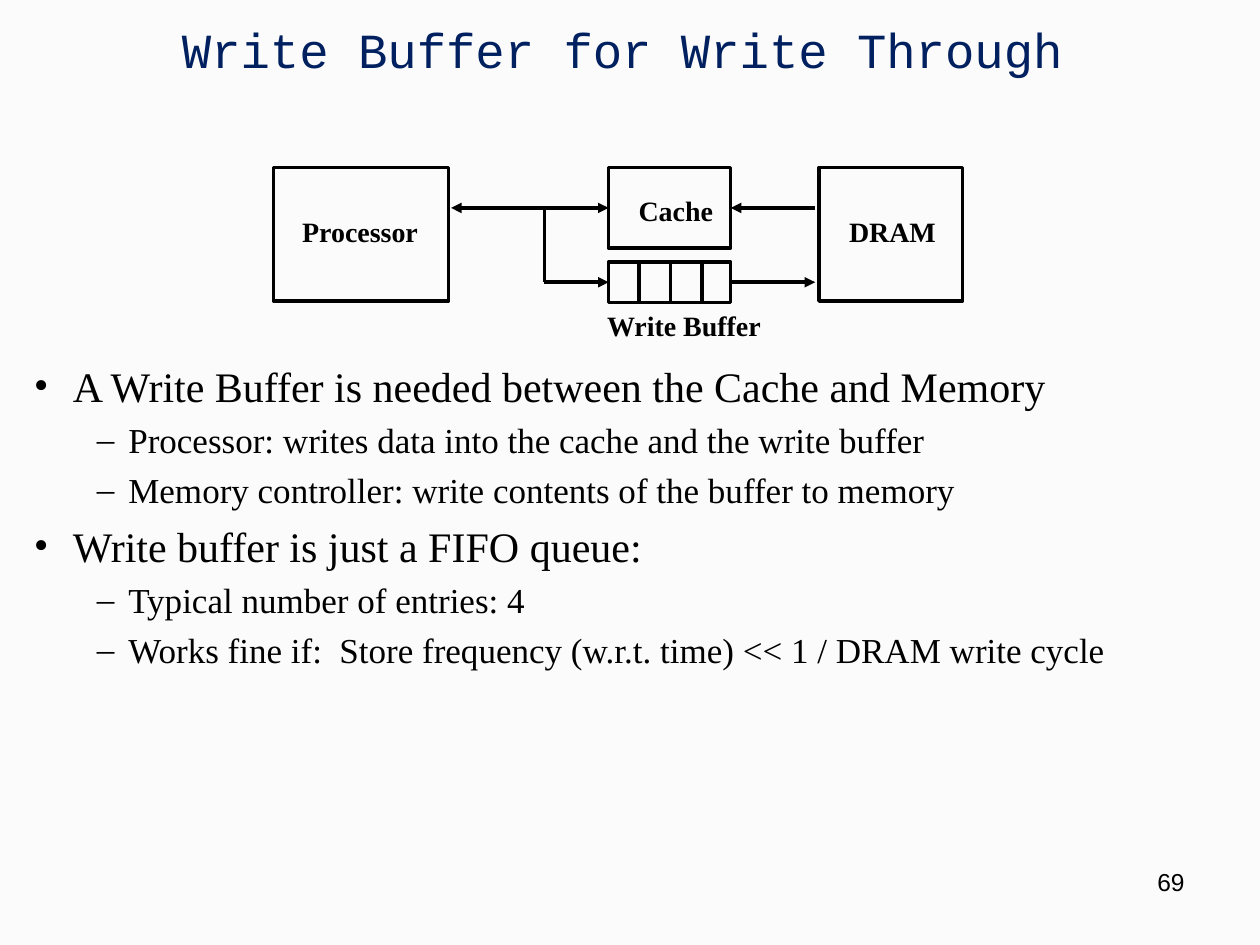
from lxml.etree import SubElement
from pptx import Presentation
from pptx.dml.color import RGBColor
from pptx.enum.shapes import MSO_CONNECTOR, MSO_SHAPE
from pptx.enum.text import MSO_ANCHOR as Anchor, PP_ALIGN as Align
from pptx.oxml.ns import qn
from pptx.util import Inches, Pt

BLACK = "000000"
SERIF = "Times New Roman"
LEFT_SIDE, RIGHT_SIDE = 1, 3
CACHE_Y, BUFFER_Y = 1.65, 2.24
BULLETS = [
    (0, "A Write Buffer is needed between the Cache and Memory"),
    (1, "Processor: writes data into the cache and the write buffer"),
    (1, "Memory controller: write contents of the buffer to memory"),
    (0, "Write buffer is just a FIFO queue:"),
    (1, "Typical number of entries: 4"),
    (1, "Works fine if:  Store frequency (w.r.t. time) << 1 / DRAM write cycle"),
]
LEVELS = [
    {"symbol": "•", "margin": 0.31, "hanging": 0.31, "size": 24, "before": 5.5},
    {"symbol": "–", "margin": 0.75, "hanging": 0.25, "size": 20, "before": 4.6},
]


def color(value):
    return RGBColor.from_string(value)


def set_attributes(target, values):
    for name, value in values.items():
        setattr(target, name, value)


def format_font(paragraph, size, name=SERIF, fill=BLACK, bold=False):
    set_attributes(paragraph.font, {"size": Pt(size), "name": name, "bold": bold})
    paragraph.font.color.rgb = color(fill)


def place(shape, *box):
    names = ("left", "top", "width", "height")
    set_attributes(shape, dict(zip(names, map(Inches, box))))


def add_title(slide, text):
    title = slide.shapes.title
    place(title, 0.91, 0.08, 8.06, 0.61)
    title.text_frame.vertical_anchor = Anchor.MIDDLE
    title.text_frame.text = text
    paragraph = title.text_frame.paragraphs[0]
    paragraph.alignment = Align.CENTER
    format_font(paragraph, 28, "Courier New", "002060")


def add_text(slide, text, box, size, wrap=False, align=Align.LEFT, **font):
    frame = slide.shapes.add_textbox(*map(Inches, box)).text_frame
    set_attributes(frame, {"word_wrap": wrap, "text": text})
    paragraph = frame.paragraphs[0]
    paragraph.alignment = align
    format_font(paragraph, size, **font)


def add_bullets(slide, box):
    frame = slide.shapes.add_textbox(*map(Inches, box)).text_frame
    frame.word_wrap = True
    for index, (level, text) in enumerate(BULLETS):
        style = LEVELS[level]
        paragraph = frame.add_paragraph() if index else frame.paragraphs[0]
        set_attributes(paragraph, {"text": text, "level": level})
        if index:
            paragraph.space_before = Pt(style["before"])
        properties = paragraph._p.get_or_add_pPr()
        properties.set("marL", str(Inches(style["margin"])))
        properties.set("indent", str(-Inches(style["hanging"])))
        SubElement(properties, qn("a:buFont"), typeface=SERIF)
        SubElement(properties, qn("a:buChar"), char=style["symbol"])
        format_font(paragraph, style["size"])


def format_line(line):
    set_attributes(line, {"width": Pt(2)})
    line.color.rgb = color(BLACK)


def add_box(slide, *box):
    shape = slide.shapes.add_shape(MSO_SHAPE.RECTANGLE, *map(Inches, box))
    shape.shadow.inherit = False
    shape.fill.background()
    format_line(shape.line)
    return shape


def add_line(slide, start, end, arrows=(), target=None):
    connector = slide.shapes.add_connector(
        MSO_CONNECTOR.STRAIGHT, *map(Inches, (*start, *end)))
    format_line(connector.line)
    for arrow in arrows:
        SubElement(connector.line._get_or_add_ln(), qn(f"a:{arrow}"), type="triangle")
    SubElement(connector._element.spPr, qn("a:effectLst"))
    if target:
        connector.end_connect(*target)


def add_diagram(slide):
    add_box(slide, 2.17, 1.33, 1.39, 1.06)
    add_box(slide, 6.5, 1.33, 1.14, 1.06)
    cache = add_box(slide, 4.83, 1.33, 0.97, 0.64)
    buffer = add_box(slide, 4.83, 2.08, 0.97, 0.32)
    for entry in range(3):
        x = 5.07 + 0.25 * entry
        add_line(slide, (x, 2.08), (x, 2.39))

    add_line(slide, (3.58, CACHE_Y), (4.81, CACHE_Y), ("headEnd", "tailEnd"),
             (cache, LEFT_SIDE))
    add_line(slide, (6.47, CACHE_Y), (5.83, CACHE_Y), ("tailEnd",),
             (cache, RIGHT_SIDE))
    add_line(slide, (4.32, CACHE_Y), (4.32, BUFFER_Y))
    add_line(slide, (4.32, BUFFER_Y), (4.81, BUFFER_Y), ("tailEnd",),
             (buffer, LEFT_SIDE))
    add_line(slide, (6.47, BUFFER_Y), (5.83, BUFFER_Y), ("headEnd",),
             (buffer, RIGHT_SIDE))

    for text, left, top, width in [
        ("Processor", 2.3, 1.65, 1.12),
        ("Cache", 4.97, 1.49, 0.79),
        ("DRAM", 6.64, 1.65, 0.89),
        ("Write Buffer", 4.72, 2.4, 1.43),
    ]:
        add_text(slide, text, (left, top, width, 0.36), 16, bold=True)


def main():
    presentation = Presentation()
    set_attributes(presentation, {"slide_width": Inches(10), "slide_height": Inches(7.5)})
    slide = presentation.slides.add_slide(presentation.slide_layouts[5])
    slide.background.fill.solid()
    slide.background.fill.fore_color.rgb = color("FBFBFB")
    add_title(slide, "Write Buffer for Write Through")
    add_bullets(slide, (0.17, 2.81, 9.36, 3.72))
    add_diagram(slide)
    add_text(slide, "69", (7.17, 6.83, 2.33, 0.52), 14, wrap=True,
             align=Align.RIGHT, name="Arial")
    presentation.save("out.pptx")


if __name__ == "__main__":
    main()
